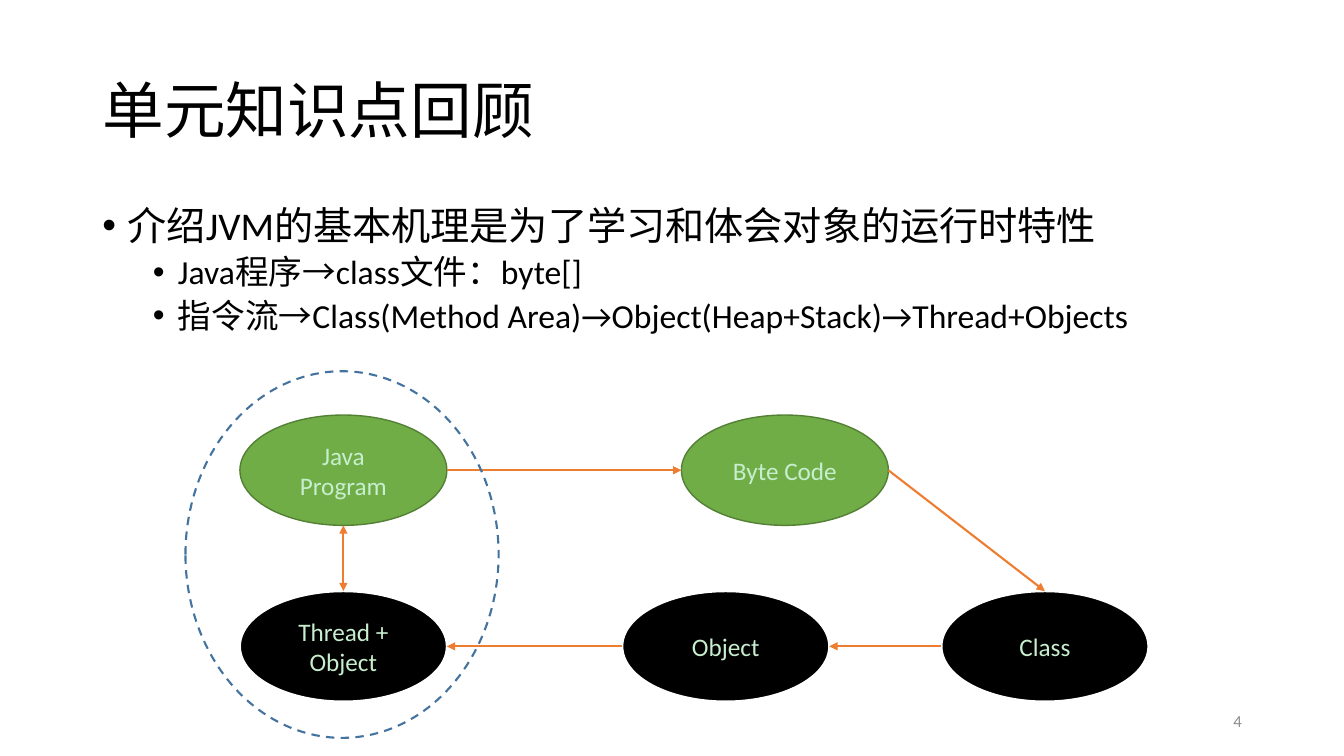
from dataclasses import dataclass

from lxml.etree import SubElement
from pptx import Presentation
from pptx.dml.color import RGBColor
from pptx.enum.dml import MSO_LINE
from pptx.enum.shapes import MSO_CONNECTOR, MSO_SHAPE
from pptx.enum.text import MSO_ANCHOR as ANCHOR, PP_ALIGN as ALIGN
from pptx.oxml.ns import qn
from pptx.util import Inches, Pt

FONT = "Calibri"
COLORS = {
    "text": "000000", "label": "C7EECE", "number": "8C8C8C", "paper": "FFFFFF",
    "source": "70AD47", "source_line": "538035", "runtime": "000000",
    "arrow": "ED7D31", "group": "43739E",
}
WIDTH, HEIGHT = Inches(13.333), Inches(7.5)
COL, ROW = WIDTH / 100, HEIGHT / 100  # the slide is a 100 by 100 grid
NODE_W, NODE_H = 15.4, 14.6
TOP_ROW, BOTTOM_ROW = 54.9, 78.2
LEFT_COL = 17.85


@dataclass(frozen=True)
class Box:
    col: float
    row: float
    cols: float
    rows: float

    def emu(self) -> tuple[int, int, int, int]:
        return (round(self.col * COL), round(self.row * ROW),
                round(self.cols * COL), round(self.rows * ROW))

    def side(self, name: str) -> tuple[int, int]:
        """Middle point of the named side."""
        x, y, w, h = self.emu()
        return {"top": (x + w // 2, y), "bottom": (x + w // 2, y + h),
                "left": (x, y + h // 2), "right": (x + w, y + h // 2)}[name]


@dataclass(frozen=True)
class Node:
    text: str
    col: float
    row: float
    fill: str
    line: str
    line_pt: float

    @property
    def box(self) -> Box:
        return Box(self.col, self.row, NODE_W, NODE_H)


@dataclass(frozen=True)
class Arrow:
    start: str
    start_side: str
    end: str
    end_side: str
    both: bool = False


@dataclass(frozen=True)
class Bullet:
    text: str
    level: int
    size: int
    before: int


SOURCE = ("source", "source_line", 1)
RUNTIME = ("runtime", "paper", 1.5)
NODES = {
    "program": Node("Java Program", LEFT_COL, TOP_ROW, *SOURCE),
    "bytecode": Node("Byte Code", 50.7, TOP_ROW, *SOURCE),
    "class": Node("Class", 70.05, BOTTOM_ROW, *RUNTIME),
    "object": Node("Object", 46.3, BOTTOM_ROW, *RUNTIME),
    "thread": Node("Thread +\nObject", LEFT_COL, BOTTOM_ROW, *RUNTIME),
}
ARROWS = [
    Arrow("program", "right", "bytecode", "left"),
    Arrow("bytecode", "right", "class", "top"),
    Arrow("class", "left", "object", "right"),
    Arrow("object", "left", "thread", "right"),
    Arrow("thread", "top", "program", "bottom", both=True),
]
BULLETS = [
    Bullet("介绍JVM的基本机理是为了学习和体会对象的运行时特性", 0, 28, 0),
    Bullet("Java程序→class文件：byte[]", 1, 24, 5),
    Bullet("指令流→Class(Method Area)→Object(Heap+Stack)→Thread+Objects", 1, 24, 5),
]
TITLE_BOX = Box(6.88, 5.33, 86.25, 19.33)
BODY_BOX = Box(6.88, 26.67, 86.25, 63.5)
NUMBER_BOX = Box(70.65, 92.7, 22.5, 5.33)
GROUP_BOX = Box(13.8, 49.1, 23.3, 48.5)


def rgb(name: str) -> RGBColor:
    return RGBColor.from_string(COLORS[name])


def format_runs(p, size: float, color: str, align=ALIGN.LEFT) -> None:
    p.alignment = align
    for r in p.runs:
        r.font.name, r.font.size = FONT, Pt(size)
        r.font.color.rgb = rgb(color)


def add_title(slide, text: str) -> None:
    sp = slide.shapes.title
    sp.left, sp.top, sp.width, sp.height = TITLE_BOX.emu()
    tf = sp.text_frame
    tf.text = text
    tf.vertical_anchor = ANCHOR.MIDDLE
    tf.paragraphs[0].line_spacing = 0.9
    format_runs(tf.paragraphs[0], 44, "text")


def add_text_box(slide, box: Box, text: str, anchor):
    tf = slide.shapes.add_textbox(*box.emu()).text_frame
    tf.word_wrap = True
    tf.vertical_anchor = anchor
    tf.text = text
    return tf


def add_bullets(slide, bullets: list[Bullet]) -> None:
    tf = add_text_box(slide, BODY_BOX, "\n".join(b.text for b in bullets), ANCHOR.TOP)
    for p, b in zip(tf.paragraphs, bullets):
        p.level = b.level
        pPr = p._p.get_or_add_pPr()
        pPr.set("marL", str(Inches(0.25 + 0.5 * b.level)))
        pPr.set("indent", str(Inches(-0.25)))
        SubElement(pPr, qn("a:buFont"), typeface="Arial")
        SubElement(pPr, qn("a:buChar"), char="•")
        p.line_spacing, p.space_before = 0.9, Pt(b.before)
        format_runs(p, b.size, "text")


def add_ellipse(slide, box: Box, line: str, line_pt: float):
    sp = slide.shapes.add_shape(MSO_SHAPE.OVAL, *box.emu())
    sp.shadow.inherit = False
    sp.line.color.rgb, sp.line.width = rgb(line), Pt(line_pt)
    return sp


def add_node(slide, node: Node) -> None:
    sp = add_ellipse(slide, node.box, node.line, node.line_pt)
    sp.fill.solid()
    sp.fill.fore_color.rgb = rgb(node.fill)
    tf = sp.text_frame
    tf.word_wrap = True
    tf.vertical_anchor = ANCHOR.MIDDLE
    tf.text = node.text
    for p in tf.paragraphs:
        format_runs(p, 18, "label", ALIGN.CENTER)


def add_arrow(slide, arrow: Arrow) -> None:
    start = NODES[arrow.start].box.side(arrow.start_side)
    end = NODES[arrow.end].box.side(arrow.end_side)
    cxn = slide.shapes.add_connector(MSO_CONNECTOR.STRAIGHT, *start, *end)
    cxn.line.color.rgb, cxn.line.width = rgb("arrow"), Pt(1.5)
    ln = cxn.line._get_or_add_ln()
    for tag in ["a:headEnd"] * arrow.both + ["a:tailEnd"]:
        SubElement(ln, qn(tag), type="triangle")
    SubElement(cxn._element.spPr, qn("a:effectLst"))


def main() -> None:
    prs = Presentation()
    prs.slide_width, prs.slide_height = WIDTH, HEIGHT
    slide = prs.slides.add_slide(prs.slide_layouts[5])
    slide.background.fill.solid()
    slide.background.fill.fore_color.rgb = rgb("paper")

    add_title(slide, "单元知识点回顾")
    add_bullets(slide, BULLETS)
    for node in NODES.values():
        add_node(slide, node)
    for arrow in ARROWS:
        add_arrow(slide, arrow)

    group = add_ellipse(slide, GROUP_BOX, "group", 1.5)
    group.fill.background()
    group.line.dash_style = MSO_LINE.DASH

    number = add_text_box(slide, NUMBER_BOX, "4", ANCHOR.MIDDLE)
    format_runs(number.paragraphs[0], 12, "number", ALIGN.RIGHT)
    prs.save("out.pptx")


if __name__ == "__main__":
    main()
